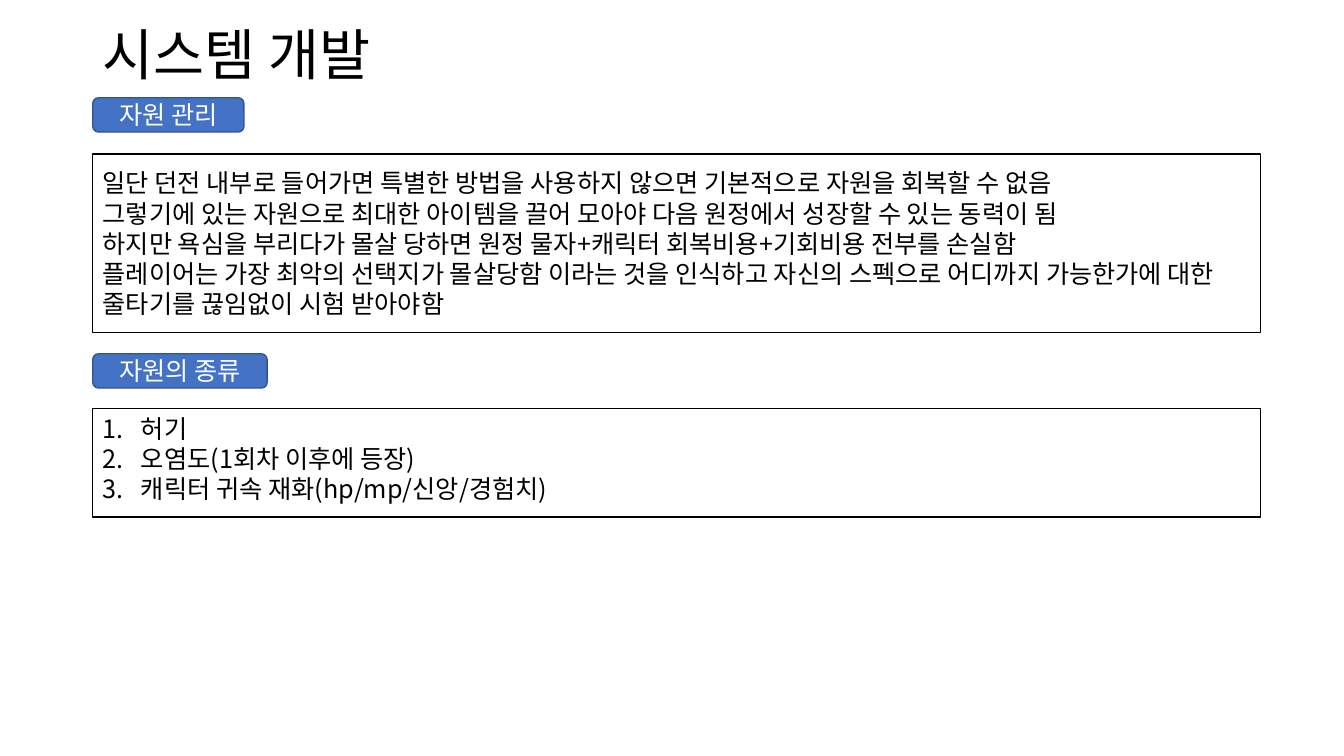
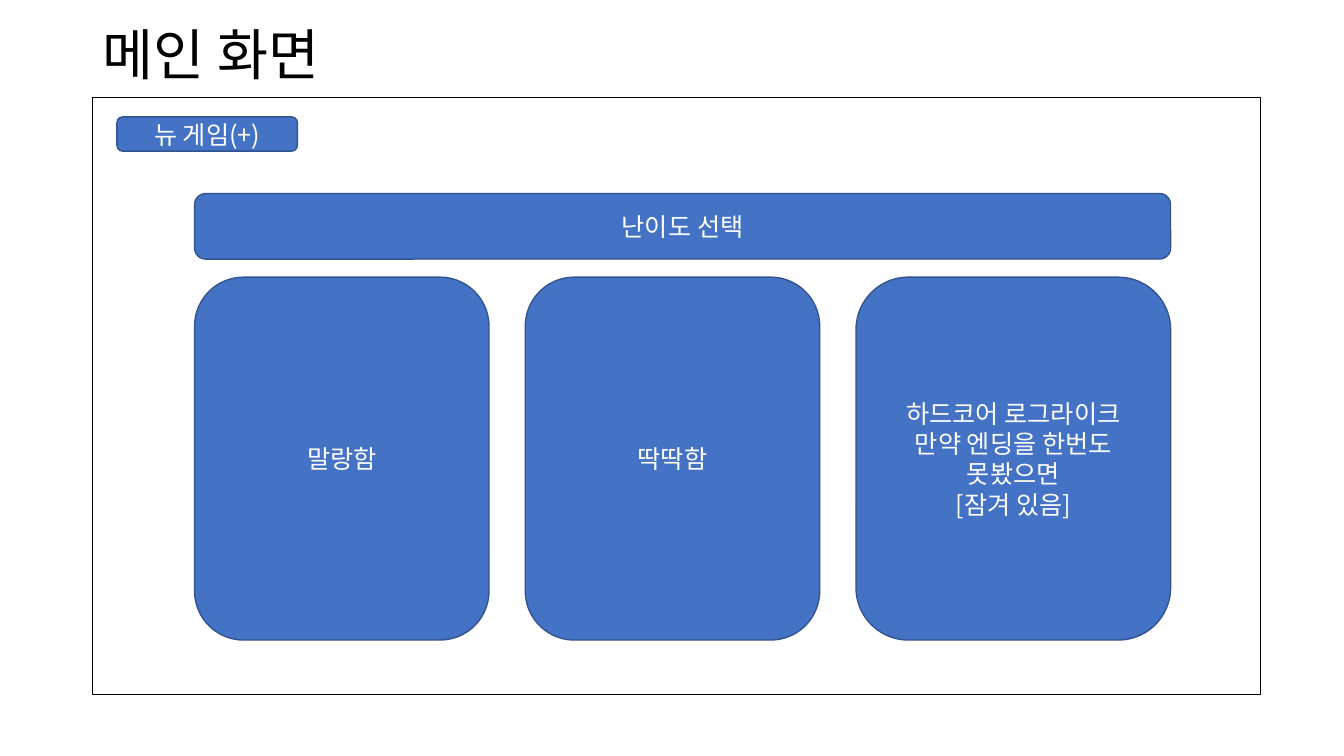
from lxml import etree
from pptx import Presentation
from pptx.dml.color import RGBColor
from pptx.enum.shapes import MSO_SHAPE
from pptx.enum.text import MSO_ANCHOR, PP_ALIGN
from pptx.oxml.ns import qn
from pptx.util import Inches, Pt

RECT = MSO_SHAPE.RECTANGLE
ROUND = MSO_SHAPE.ROUNDED_RECTANGLE
MIDDLE = MSO_ANCHOR.MIDDLE
TOP = MSO_ANCHOR.TOP
LEFT = PP_ALIGN.LEFT
CENTER = PP_ALIGN.CENTER

COLORS = {"ink": "000000", "paper": "FFFFFF", "blue": "4472C4", "edge": "325491"}
FONT = "Noto Sans CJK KR"
BODY_SIZE = 18
TITLE_SIZE = 39.6
SLIDE_WIDTH, SLIDE_HEIGHT = 13.33, 7.5
MARGIN = 0.92
CONTENT_WIDTH = 11.58
CONTENT_TOP = 0.97
LABEL_HEIGHT = 0.34
NUMBER_INDENT = 0.38


def color(name):
    return RGBColor.from_string(COLORS[name])


def write(shape, lines, size, ink, align=LEFT, anchor=MIDDLE, numbered=False):
    frame = shape.text_frame
    frame.word_wrap = True
    frame.vertical_anchor = anchor
    frame.text = "\n".join(lines)
    for para in frame.paragraphs:
        para.alignment = align
        if numbered:
            number_paragraph(para)
        for span in para.runs:
            span.font.size = Pt(size)
            span.font.name = FONT
            span.font.color.rgb = color(ink)
            east_asian = etree.Element(qn("a:ea"), typeface=FONT)
            span.font._element.find(qn("a:latin")).addnext(east_asian)


def number_paragraph(para):
    properties = para._p.get_or_add_pPr()
    indent = Inches(NUMBER_INDENT)
    properties.set("marL", str(indent))
    properties.set("indent", str(-indent))
    etree.SubElement(properties, qn("a:buFont"), typeface="+mj-lt")
    etree.SubElement(properties, qn("a:buAutoNum"), type="arabicPeriod")


def add_panel(page, kind, bounds, fill, line):
    shape = page.shapes.add_shape(kind, *map(Inches, bounds))
    shape.shadow.inherit = False
    if fill:
        shape.fill.solid()
        shape.fill.fore_color.rgb = color(fill)
    else:
        shape.fill.background()
    shape.line.color.rgb = color(line)
    shape.line.width = Pt(1)
    return shape


def add_button(page, bounds, *lines):
    button = add_panel(page, ROUND, bounds, "blue", "edge")
    write(button, lines, BODY_SIZE, "paper", CENTER)


def add_page(deck, title):
    page = deck.slides.add_slide(deck.slide_layouts[6])
    bounds = (MARGIN, 0.4, 9.14, 0.35)
    box = page.shapes.add_textbox(*map(Inches, bounds))
    write(box, [title], TITLE_SIZE, "ink")
    box.text_frame.paragraphs[0].line_spacing = 0.9
    return page


def add_section(page, top, label, label_width, gap, height, lines, **style):
    add_button(page, (MARGIN, top, label_width, LABEL_HEIGHT), label)
    body_top = top + LABEL_HEIGHT + gap
    body = add_panel(page, RECT, (MARGIN, body_top, CONTENT_WIDTH, height), None, "ink")
    write(body, lines, BODY_SIZE, "ink", **style)


def add_difficulty_menu(page, left, top, width):
    header_height, gap, card_top, card_height = 0.65, 0.36, 0.83, 3.6
    add_button(page, (left, top, width, header_height), "난이도 선택")
    cards = [
        (2.92, ["말랑함"]),
        (2.92, ["딱딱함"]),
        (3.12, ["하드코어 로그라이크", "만약 엔딩을 한번도 못봤으면", "[잠겨 있음]"]),
    ]
    for card_width, lines in cards:
        add_button(page, (left, top + card_top, card_width, card_height), *lines)
        left += card_width + gap


def build_system_page(deck):
    page = add_page(deck, "시스템 개발")
    add_section(page, CONTENT_TOP, "자원 관리", 1.5, 0.22, 1.77, [
        "일단 던전 내부로 들어가면 특별한 방법을 사용하지 않으면 기본적으로 자원을 회복할 수 없음",
        "그렇기에 있는 자원으로 최대한 아이템을 끌어 모아야 다음 원정에서 성장할 수 있는 동력이 됨",
        "하지만 욕심을 부리다가 몰살 당하면 원정 물자+캐릭터 회복비용+기회비용 전부를 손실함",
        "플레이어는 가장 최악의 선택지가 몰살당함 이라는 것을 인식하고 자신의 스펙으로 "
        "어디까지 가능한가에 대한 줄타기를 끊임없이 시험 받아야함",
    ])
    add_section(page, 3.51, "자원의 종류", 1.73, 0.2, 1.08, [
        "허기",
        "오염도(1회차 이후에 등장)",
        "캐릭터 귀속 재화(hp/mp/신앙/경험치)",
    ], anchor=TOP, numbered=True)


def build_main_screen_page(deck):
    page = add_page(deck, "메인 화면")
    screen = (MARGIN, CONTENT_TOP, CONTENT_WIDTH, 5.92)
    add_panel(page, RECT, screen, "paper", "ink")
    add_button(page, (MARGIN + 0.24, CONTENT_TOP + 0.19, 1.79, LABEL_HEIGHT), "뉴 게임(+)")
    add_difficulty_menu(page, MARGIN + 1.01, CONTENT_TOP + 0.95, 9.68)


def main():
    deck = Presentation()
    deck.slide_width = Inches(SLIDE_WIDTH)
    deck.slide_height = Inches(SLIDE_HEIGHT)
    build_system_page(deck)
    build_main_screen_page(deck)
    deck.save("out.pptx")


if __name__ == "__main__":
    main()
